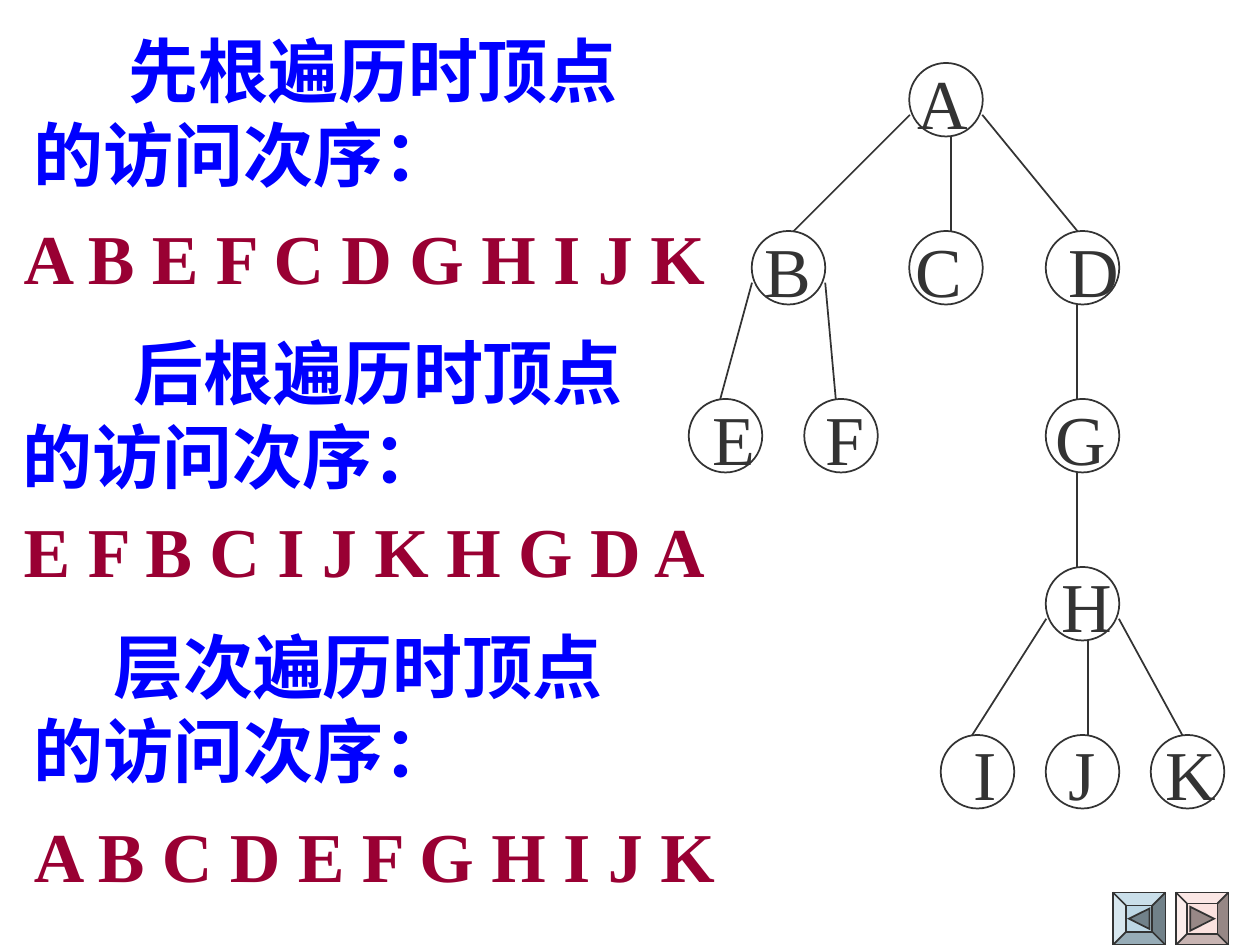
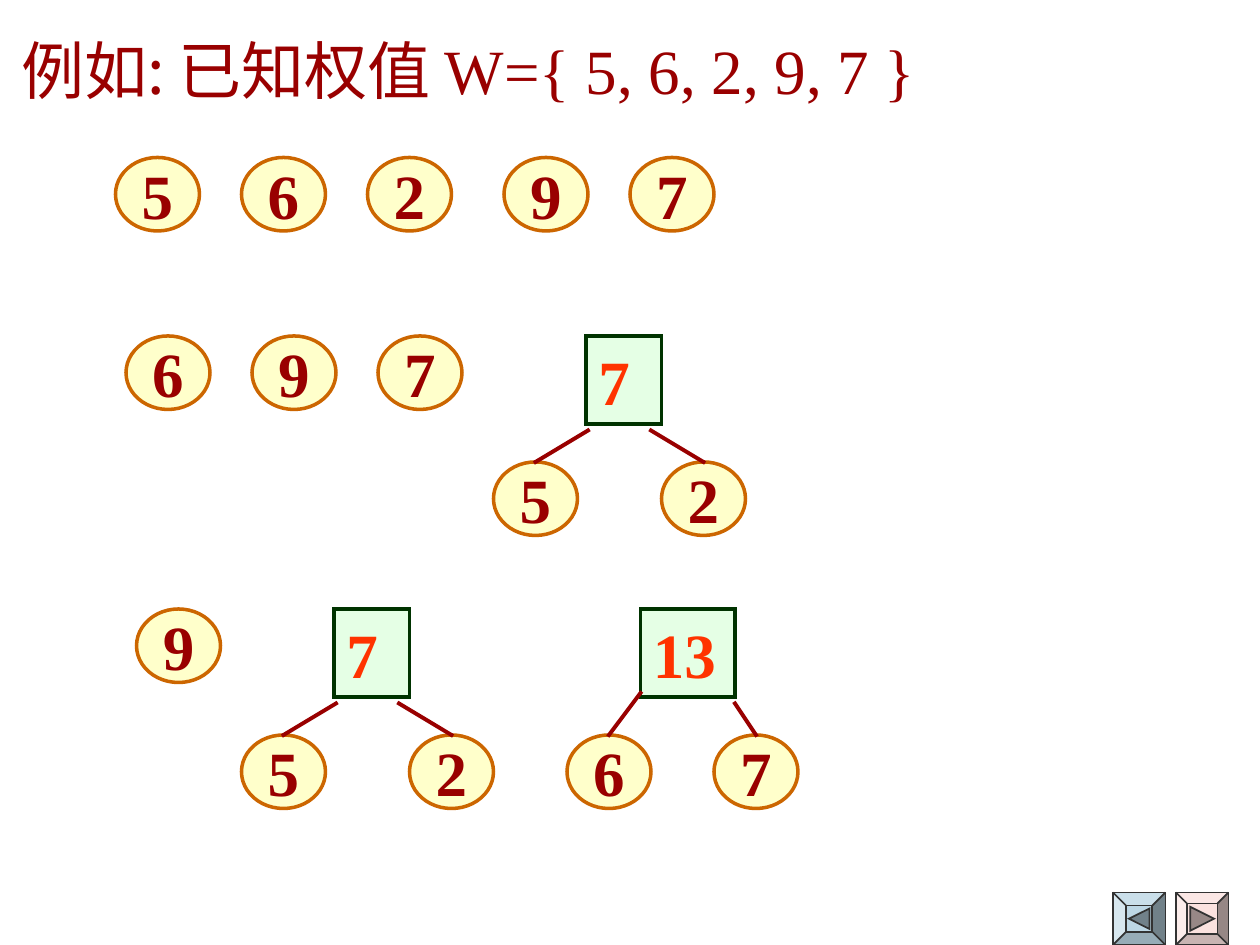
from dataclasses import dataclass

from lxml.etree import SubElement as Sub
from pptx import Presentation
from pptx.dml.color import RGBColor as Rgb
from pptx.enum.shapes import MSO_CONNECTOR as Link, MSO_SHAPE as Kind
from pptx.enum.text import MSO_ANCHOR as Anchor, PP_ALIGN as Align
from pptx.oxml.ns import qn
from pptx.util import Inches, Pt


@dataclass(frozen=True)
class Theme:
    ink: str = "333333"
    head: str = "0000FF"
    order: str = "990033"
    brown: str = "990000"
    back: tuple = ("BDD7E5", "71818A")
    ahead: tuple = ("FBE2DF", "978886")
    leaf: tuple = ("FFFF99", "CC6600")
    root: tuple = ("CCFFCC", "003300")
    sum: str = "FF3300"
    big: int = 40
    mid: int = 36
    thin: float = 1
    edge: float = 2.25
    rim: float = 2
    lead: float = 1.2
    serif: str = "Times New Roman"
    sans: str = "Noto Sans CJK SC"


T = Theme()
COLS, ROWS = 120, 90
CELL = Inches(10) // COLS


def cells(*counts):
    return [round(n * CELL) for n in counts]


def add_run(para, text, size, color, bold=False, face=T.serif):
    run = para.add_run()
    run.text = text
    font = run.font
    font.size, font.bold, font.name = Pt(size), bold, face
    font.color.rgb = Rgb.from_string(color)
    Sub(run._r.get_or_add_rPr(), qn("a:ea")).set("typeface", T.sans)


def add_box(slide, left, top, width, height):
    """Add a wrapping text box, in inches, and return its frame."""
    box = slide.shapes.add_textbox(*map(Inches, (left, top, width, height)))
    box.text_frame.word_wrap = True
    return box.text_frame


def add_text(slide, place, text, color, indent=0):
    para = add_box(slide, *place).paragraphs[0]
    para.line_spacing = Pt(T.big * T.lead)
    para._p.get_or_add_pPr().set("indent", str(Inches(indent)))
    add_run(para, text, T.big, color, True)


def add_line(slide, start, end, color, width):
    line = slide.shapes.add_connector(Link.STRAIGHT, *cells(*start, *end))
    line.line.color.rgb = Rgb.from_string(color)
    line.line.width = Pt(width)
    props = line._element.spPr
    props.find(qn("a:ln")).set("cap", "sq")
    Sub(props, qn("a:effectLst"))


def paint(shape, rim, width, fill=None):
    """Set a shape's outline and fill, and take away its shadow."""
    shape.shadow.inherit = False
    shape.line.color.rgb = Rgb.from_string(rim)
    shape.line.width = Pt(width)
    Sub(shape._element.spPr.find(qn("a:ln")), qn("a:miter")).set("lim", "800000")
    if fill:
        shape.fill.solid()
        shape.fill.fore_color.rgb = Rgb.from_string(fill)
    else:
        shape.fill.background()


def add_shape(slide, kind, place, rim, width, fill=None):
    shape = slide.shapes.add_shape(kind, *cells(*place))
    paint(shape, rim, width, fill)
    return shape


def add_node(slide, kind, text, place, look, color):
    """Add a weight in its own half-clear shape."""
    fill, rim = look
    shape = add_shape(slide, kind, place, rim, T.rim, fill)
    tone = shape._element.spPr.find(qn("a:solidFill"))[0]
    Sub(tone, qn("a:alpha")).set("val", "50000")
    frame = shape.text_frame
    leaf = kind == Kind.OVAL
    frame.word_wrap = not leaf
    frame.vertical_anchor = Anchor.MIDDLE if leaf else Anchor.TOP
    para = frame.paragraphs[0]
    para.alignment = Align.CENTER if leaf else Align.LEFT
    para.line_spacing = Pt(T.mid * T.lead)
    add_run(para, text, T.mid, color, True)


def add_leaf(slide, text, col, row):
    add_node(slide, Kind.OVAL, text, (col, row, 8, 7), T.leaf, T.brown)


def add_pair(slide, total, place, leaves, edges):
    """Add a sum with its two leaves, twelve rows further down."""
    col, row, width = place
    for text, left in leaves:
        add_leaf(slide, text, left, row + 12)
    add_node(slide, Kind.RECTANGLE, total, (col, row, width, 8.4), T.root, T.sum)
    for (left, drop), foot in edges:
        add_line(slide, (left, row + drop), (foot, row + 12), T.brown, T.edge)


def add_button(slide, col, look, rim, turn):
    """Add a bevelled button; turn is -1 for back and 1 for ahead."""
    row, size = 85, 5
    face, dark = look
    bevel = add_shape(slide, Kind.BEVEL, (col, row, size, size), T.ink, T.thin, face)
    bevel.adjustments[0] = rim / size
    half = (size - 2 * rim) * 0.39
    x, y = col + size / 2, row + size / 2
    tip, *base = [cells(x + turn * a * half, y + b * half)
                  for a, b in ((1, 0), (-1, -1), (-1, 1))]
    form = slide.shapes.build_freeform(*tip, scale=1.0)
    form.add_line_segments(base, close=True)
    paint(form.convert_to_shape(), T.ink, T.thin, dark)


def add_slide(deck):
    slide = deck.slides.add_slide(deck.slide_layouts[6])
    add_button(slide, 106, T.back, 1.25, -1)
    add_button(slide, 112, T.ahead, 1.05, 1)
    return slide


def add_names(slide):
    """Write the tree's letters, one level a paragraph."""
    levels = [("A", [1.63]), ("BCD", [0.42, 1.62, 2.83]), ("EFG", [0.01, 0.9, 2.73]),
              ("H", [2.78]), ("IJK", [2.08, 2.83, 3.6])]
    frame = add_box(slide, 5.55, 0.42, 4.4, 6.2)
    for i, (names, stops) in enumerate(levels):
        para = frame.add_paragraph() if i else frame.paragraphs[0]
        para.line_spacing = Pt(T.big * T.lead)
        if i:
            para.space_before = Pt(T.big * T.lead)
        tabs = Sub(para._p.get_or_add_pPr(), qn("a:tabLst"))
        for stop in stops:
            tab = Sub(tabs, qn("a:tab"))
            tab.set("pos", str(Inches(stop)))
            tab.set("algn", "l")
        for name in names:
            add_run(para, "\t" + name, T.big, T.ink)


def add_tree(slide):
    add_names(slide)
    shift = 0.4
    levels = [[87], [72, 87, 100], [66, 77, 100], [100], [100, 90, 110]]
    for i, cols in enumerate(levels):
        for col in cols:
            add_shape(slide, Kind.OVAL, (col - shift, 6 + 16 * i, 7, 7), T.ink, T.thin)
    edges = [(0, 91, 7, 91), (0, 87, 5, 76), (0, 94, 5, 103),
             (1, 72, 5, 69), (1, 79, 5, 80), (1, 103, 7, 103),
             (2, 103, 7, 103),
             (3, 104, 7, 104), (3, 100, 5, 93), (3, 107, 5, 113)]
    for level, col, drop, foot in edges:
        top = 6 + 16 * level
        add_line(slide, (col - shift, top + drop), (foot - shift, top + 16),
                 T.ink, T.thin)


def walks(deck):
    slide = add_slide(deck)
    add_tree(slide)
    parts = [
        ("先根", (0.17, 0.17, 5.08), 0.75, "A B E F C D G H I J K", (0.09, 1.65)),
        ("后根", (0.08, 2.57, 5.18), 0.88, "E F B C I J K H G D A", (0.09, 3.98)),
        ("层次", (0.17, 4.9, 4.83), 0.63, "A B C D E F G H I J K", (0.17, 6.4)),
    ]
    for kind, place, indent, order, spot in parts:
        add_text(slide, (*place, 1.44), kind + "遍历时顶点的访问次序：", T.head, indent)
        add_text(slide, (*spot, 5.66, 0.77), order, T.order)


def weights(deck):
    slide = add_slide(deck)
    para = add_box(slide, 0.07, 0.2, 8.04, 0.7).paragraphs[0]
    para.line_spacing = Pt(T.mid * T.lead)
    add_run(para, "例如: 已知权值 ", T.mid, T.brown, face=T.sans)
    add_run(para, "W={ 5, 6, 2, 9, 7 }", T.mid, T.brown)

    rows = [(15, "56297", (11, 23, 35, 48, 60)), (32, "697", (12, 24, 36)),
            (58, "9", (13,))]
    for row, texts, cols in rows:
        for text, col in zip(texts, cols):
            add_leaf(slide, text, col, row)
    for col, row in ((47, 32), (23, 58)):
        add_pair(slide, "7", (col + 8.8, row, 7.2), (("5", col), ("2", col + 16)),
                 (((col + 9, 9), col + 4), ((col + 15, 9), col + 20)))
    add_pair(slide, "13", (61, 58, 9), (("6", 54), ("7", 68)),
             (((61, 8), 58), ((70, 9), 72)))


def main():
    deck = Presentation()
    deck.slide_width, deck.slide_height = cells(COLS, ROWS)
    walks(deck)
    weights(deck)
    deck.save("out.pptx")


if __name__ == "__main__":
    main()
